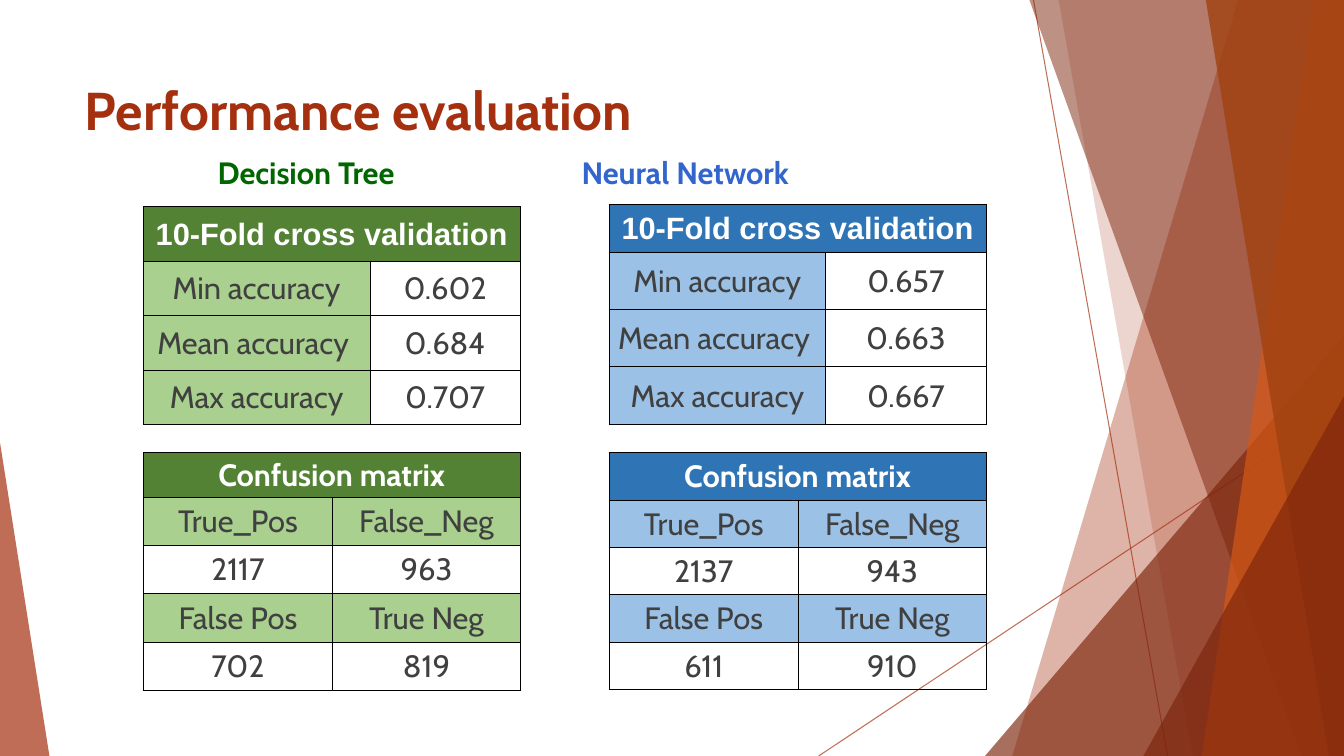
import pptx
import pptx.util
import pptx.dml.color
import pptx.enum.shapes
import pptx.enum.text
import pptx.oxml
import pptx.oxml.ns
import lxml.etree

Inches = pptx.util.Inches
Pt = pptx.util.Pt
RGB = pptx.dml.color.RGBColor
qn = pptx.oxml.ns.qn
ALIGN = pptx.enum.text.PP_ALIGN
MIDDLE = pptx.enum.text.MSO_ANCHOR.MIDDLE

RUST = RGB(0xA5, 0x30, 0x0F)
MAROON = RGB(0x7C, 0x24, 0x0B)
ORANGE = RGB(0xD5, 0x58, 0x16)
BROWN = RGB(0xA0, 0x42, 0x10)
WHITE = RGB(0xFF, 0xFF, 0xFF)
BLACK = RGB(0, 0, 0)
GRAY = RGB(0x40, 0x40, 0x40)
LEAF = RGB(0x00, 0x66, 0x00)
GREEN = RGB(0x54, 0x82, 0x35)
MINT = RGB(0xA9, 0xD0, 0x8E)
ROYAL = RGB(0x33, 0x66, 0xCC)
BLUE = RGB(0x2F, 0x75, 0xB5)
SKY = RGB(0x9B, 0xC2, 0xE6)

WIDE, HIGH = 13.33, 7.5
TITLE = "Performance evaluation"
FOLD = "10-Fold cross validation"
MATRIX = "Confusion matrix"
RATES = ["Min accuracy", "Mean accuracy ", "Max accuracy"]

MODELS = [
    dict(name="Decision Tree", ink=LEAF, dark=GREEN, pale=MINT, left=1.42, label=2.06,
         rates=["0.602", "0.684", "0.707"], counts=["2117", "963", "702", "819"],
         top=2.05, split=2.25, head=0.54, row=0.54, first=0.44, rest=0.48),
    dict(name="Neural Network", ink=ROYAL, dark=BLUE, pale=SKY, left=6.04, label=5.67,
         rates=["0.657", "0.663", "0.667"], counts=["2137", "943", "611", "910"],
         top=2.03, split=2.15, head=0.47, row=0.57, first=0.47, rest=0.47),
]

RAYS = [(10.25, 0, 11.58, HIGH), (WIDE, 4.03, 8.12, HIGH)]
BANDS = [
    ("band", 12.28, 10.04, WIDE, RUST, 36),
    ("band", 10.5, 11.83, WIDE, RUST, 20),
    ("peak", 9.77, 3.33, 3.56, MAROON, 66, 1),
    ("band", 10.21, 12.91, WIDE, MAROON, 50),
    ("band", 13.03, 11.92, WIDE, ORANGE, 70),
    ("band", 11.96, 13.18, WIDE, BROWN, 80),
    ("peak", 11.34, 3.93, 1.99, MAROON, 66, 1),
    ("peak", 0, 4.39, 0.49, RUST, 70, 0),
]

deck = pptx.Presentation()
deck.slide_width, deck.slide_height = Inches(WIDE), Inches(HIGH)
slide = deck.slides.add_slide(deck.slide_layouts[5])
shapes = slide.shapes


def fade(shape, alpha):
    for node in shape.element.iter(qn("a:srgbClr")):
        lxml.etree.SubElement(node, qn("a:alpha"), val=str(alpha * 1000))


def style(frame, size, color, bold, font="Cabin"):
    for run in frame.paragraphs[0].runs:
        run.font.size, run.font.name = Pt(size), font
        run.font.bold, run.font.color.rgb = bold, color


def border(cell):
    props = cell._tc.get_or_add_tcPr()
    for side in ("lnL", "lnR", "lnT", "lnB"):
        line = lxml.etree.SubElement(props, qn("a:" + side), w=str(Pt(0.5)))
        fill = lxml.etree.SubElement(line, qn("a:solidFill"))
        lxml.etree.SubElement(fill, qn("a:srgbClr"), val=str(BLACK))


def grid(model, top, split, heights, head, font, rows, tinted):
    frame = shapes.add_table(len(heights), 2, Inches(model["left"]), Inches(top),
                             Inches(3.74), Inches(sum(heights)))
    for node in frame.element.iter(qn("a:tableStyleId")):
        node.text = "{2D5ABB26-0587-4C30-8999-92F81FD0307C}"
    table = frame.table
    table.first_row = table.horz_banding = False
    for col, width in zip(table.columns, (split, 3.74 - split)):
        col.width = Inches(width)
    table.cell(0, 0).merge(table.cell(0, 1))
    for r, (height, words) in enumerate(zip(heights, [(head, "")] + rows)):
        table.rows[r].height = Inches(height)
        for c, word in enumerate(words):
            cell = table.cell(r, c)
            border(cell)
            cell.margin_left = cell.margin_right = cell.margin_top = Inches(0.01)
            cell.margin_bottom = 0
            cell.vertical_anchor = MIDDLE
            if r == 0 or tinted(r, c):
                cell.fill.solid()
                cell.fill.fore_color.rgb = model["pale"] if r else model["dark"]
            else:
                cell.fill.background()
            cell.text_frame.text = word
            cell.text_frame.paragraphs[0].alignment = ALIGN.CENTER
            if r:
                style(cell.text_frame, 22, GRAY, False)
            else:
                style(cell.text_frame, 22, WHITE, True, font)


for ray in RAYS:
    line = shapes.add_connector(pptx.enum.shapes.MSO_CONNECTOR.STRAIGHT, *map(Inches, ray))
    line.line.color.rgb, line.line.width = RUST, Pt(0.75)
    lxml.etree.SubElement(line.element.spPr, qn("a:effectLst"))
    fade(line, 70)

for kind, a, b, c, color, alpha, *tip in BANDS:
    if kind == "band":
        pen = shapes.build_freeform(Inches(a), 0)
        pen.add_line_segments([(Inches(c), 0), (Inches(c), Inches(HIGH)), (Inches(b), Inches(HIGH))])
        part = pen.convert_to_shape()
    else:
        part = shapes.add_shape(pptx.enum.shapes.MSO_SHAPE.ISOSCELES_TRIANGLE,
                                Inches(a), Inches(b), Inches(c), Inches(HIGH - b))
        part.adjustments[0] = tip[0]
    part.shadow.inherit = False
    part.fill.solid()
    part.fill.fore_color.rgb = color
    part.line.fill.background()
    fade(part, alpha)

title = shapes.title
title.left, title.top, title.width, title.height = map(Inches, (0.74, 0.67, 10.59, 0.83))
title.text_frame.text = TITLE
title.text_frame.vertical_anchor = MIDDLE
title.text_frame.paragraphs[0].alignment = ALIGN.LEFT
style(title.text_frame, 38, RUST, True)

for model in MODELS:
    label = shapes.add_textbox(Inches(model["label"]), Inches(1.48), Inches(3), Inches(0.48))
    label.text_frame.word_wrap = True
    label.text_frame.text = model["name"]
    style(label.text_frame, 22, model["ink"], True)
    n = model["counts"]
    grid(model, model["top"], model["split"], [model["head"]] + [model["row"]] * 3,
         FOLD, "Arial", list(zip(RATES, model["rates"])), lambda r, c: c == 0)
    grid(model, 4.49, 1.88, [model["first"]] + [model["rest"]] * 4, MATRIX, "Cabin",
         [("True_Pos", "False_Neg"), n[:2], ("False Pos", "True Neg"), n[2:]],
         lambda r, c: r % 2 == 1)

deck.save("out.pptx")
